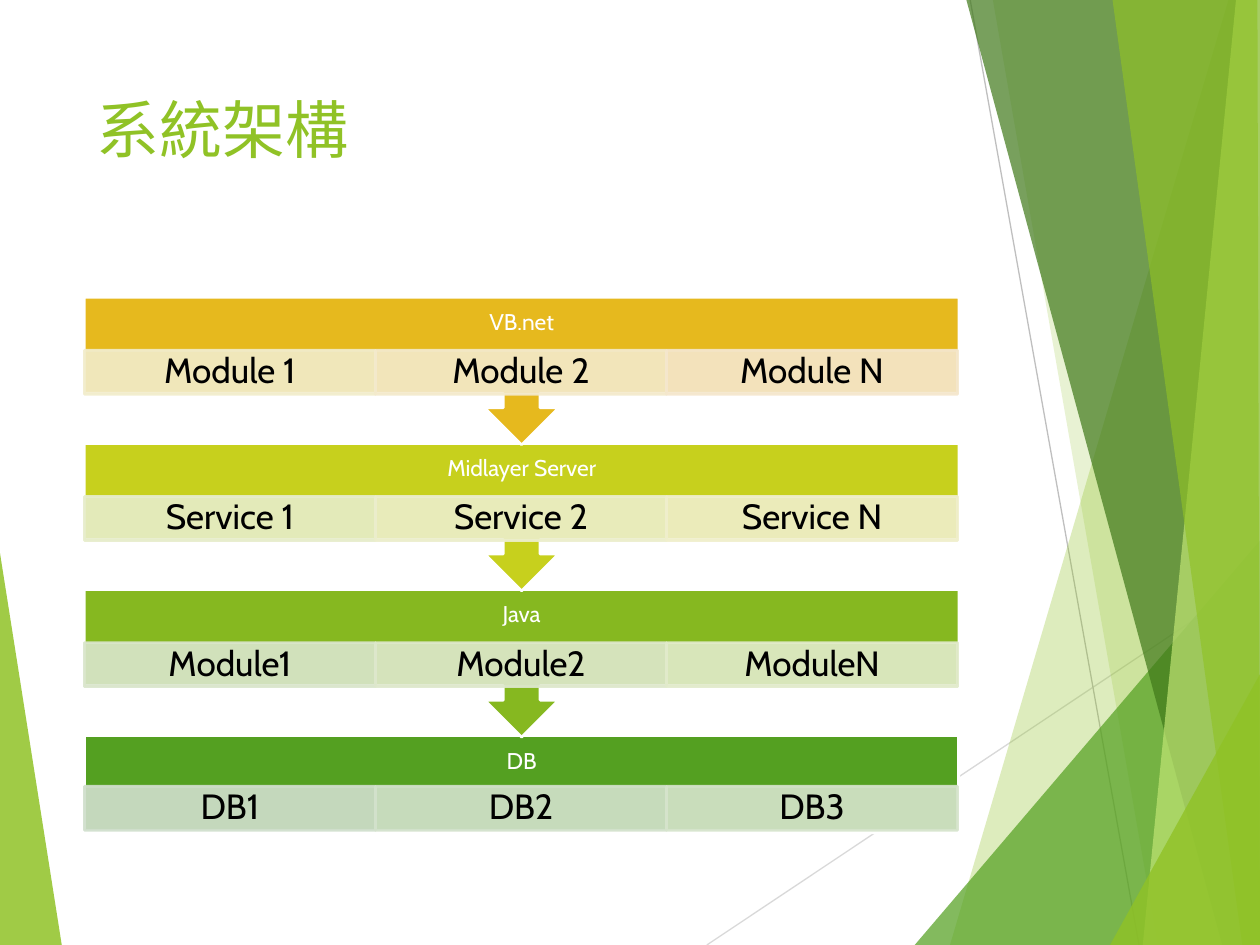
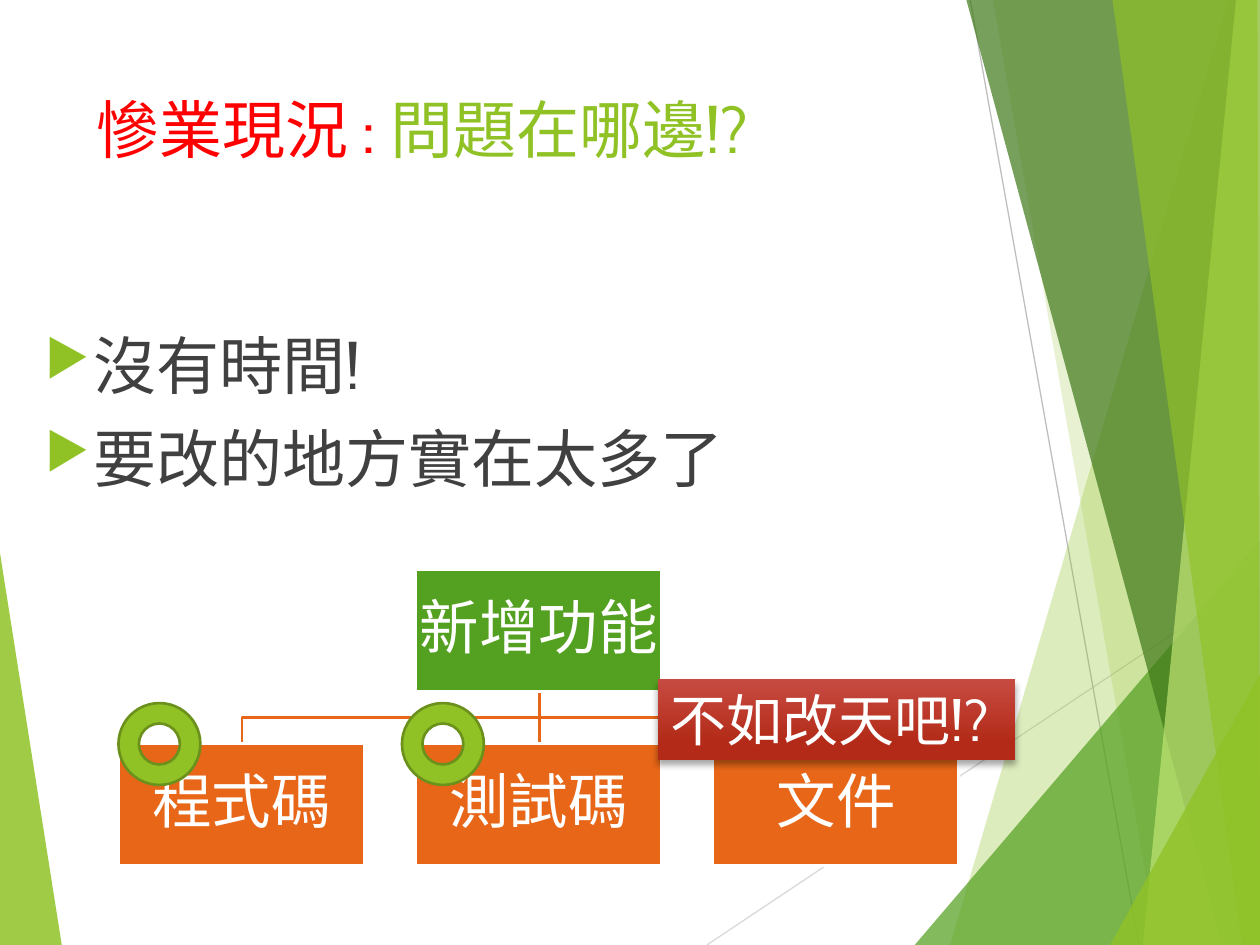
from dataclasses import dataclass

from pptx import Presentation
from pptx.dml.color import RGBColor
from pptx.enum.shapes import MSO_CONNECTOR, MSO_SHAPE
from pptx.enum.text import MSO_ANCHOR, PP_ALIGN
from pptx.oxml import parse_xml
from pptx.oxml.ns import nsdecls, qn
from pptx.oxml.xmlchemy import OxmlElement
from pptx.util import Inches, Pt


@dataclass(frozen=True)
class Theme:
    font: str = "Cabin"
    lime: str = "90C226"
    lime_edge: str = "6B901C"
    green: str = "54A021"
    dark_green: str = "3F7819"
    pale_lime: str = "C0E474"
    orange: str = "E76618"
    red: str = "FF0000"
    white: str = "FFFFFF"
    black: str = "000000"
    body: str = "404040"
    light_gray: str = "D9D9D9"
    gray: str = "BFBFBF"
    note_top: str = "C74B42"
    note_bottom: str = "B32B18"
    title_size: int = 36
    tier_size: int = 13
    cell_size: int = 20
    box_size: int = 34
    note_size: int = 32
    outline: float = 1.5
    hairline: float = 0.75


THEME = Theme()

RIBBONS = [
    ([(0, 4.39), (0.49, 7.5), (0, 7.5)], THEME.lime, 85),
    ([(9.75, 0), (7.54, 7.5), (10, 7.5), (10, 0)], THEME.lime, 30),
    ([(7.88, 0), (9.19, 7.5), (10, 7.5), (10, 0)], THEME.lime, 20),
    ([(7.26, 7.5), (10, 4.29), (10, 7.5)], THEME.green, 72),
    ([(7.67, 0), (9.7, 7.5), (10, 7.5), (10, 0)], THEME.dark_green, 70),
    ([(9.81, 0), (9.07, 7.5), (10, 7.5), (10, 0)], THEME.pale_lime, 70),
    ([(8.83, 0), (9.86, 7.5), (10, 7.5), (9.98, 0)], THEME.lime, 65),
    ([(8.81, 7.5), (10, 5.35), (10, 7.5)], THEME.lime, 80),
]

TIERS = [
    ("VB.net", "E6B91E",
     [("Module 1", "F2EDCC"), ("Module 2", "F4EACC"), ("Module N", "F5E7CD")]),
    ("Midlayer Server", "C7D01D",
     [("Service 1", "E7EDCB"), ("Service 2", "ECEECC"), ("Service N", "F0EFCC")]),
    ("Java", "86B820",
     [("Module1", "DAE6CC"), ("Module2", "DEE8CC"), ("ModuleN", "E2EBCB")]),
    ("DB", THEME.green,
     [("DB1", "D1DFCD"), ("DB2", "D3E2CC"), ("DB3", "D6E4CC")]),
]


def rgb(color):
    return RGBColor.from_string(color)


def inches(*values):
    return [Inches(value) for value in values]


def set_opacity(shape, percent):
    for color in shape._element.spPr.iter(qn("a:srgbClr")):
        alpha = OxmlElement("a:alpha")
        alpha.set("val", str(percent * 1000))
        color.append(alpha)


def style_shape(shape, fill=None, line=None, width=THEME.outline):
    shape.shadow.inherit = False
    if fill:
        shape.fill.solid()
        shape.fill.fore_color.rgb = rgb(fill)
    else:
        shape.fill.background()
    if line:
        shape.line.color.rgb = rgb(line)
        shape.line.width = Pt(width)
    else:
        shape.line.fill.background()


def format_run(run, size, color):
    run.font.size = Pt(size)
    run.font.name = THEME.font
    run.font.color.rgb = rgb(color)
    east_asian = OxmlElement("a:ea")
    east_asian.set("typeface", THEME.font)
    run.font._element.find(qn("a:latin")).addnext(east_asian)


def set_label(shape, text, size, color, margin_x=0.02, margin_y=0.02, wrap=True):
    frame = shape.text_frame
    frame.text = text
    frame.word_wrap = wrap
    frame.vertical_anchor = MSO_ANCHOR.MIDDLE
    frame.margin_left = frame.margin_right = Inches(margin_x)
    frame.margin_top = frame.margin_bottom = Inches(margin_y)
    paragraph = frame.paragraphs[0]
    paragraph.alignment = PP_ALIGN.CENTER
    paragraph.line_spacing = 0.9
    format_run(paragraph.runs[0], size, color)


def add_box(slide, kind, left, top, width, height, fill, line=None):
    shape = slide.shapes.add_shape(kind, *inches(left, top, width, height))
    style_shape(shape, fill, line)
    return shape


def add_outline(slide, points, closed):
    (left, top), *rest = [inches(*point) for point in points]
    builder = slide.shapes.build_freeform(left, top)
    builder.add_line_segments(rest, close=closed)
    return builder.convert_to_shape()


def add_line(slide, start, end, color, width):
    line = slide.shapes.add_connector(MSO_CONNECTOR.STRAIGHT, *inches(*start, *end))
    line.line.color.rgb = rgb(color)
    line.line.width = Pt(width)
    line._element.spPr.append(OxmlElement("a:effectLst"))


def add_backdrop(slide):
    for index, (points, color, opacity) in enumerate(RIBBONS):
        ribbon = add_outline(slide, points, closed=True)
        style_shape(ribbon, color)
        set_opacity(ribbon, opacity)
        if index == 0:
            add_line(slide, (5.61, 7.5), (10, 4.57), THEME.light_gray, THEME.hairline)
            add_line(slide, (7.7, 0), (9.04, 7.5), THEME.gray, THEME.hairline)


def add_title(slide, *parts):
    box = slide.shapes.add_textbox(*inches(0.67, 0.67, 6.94, 1.44))
    box.text_frame.word_wrap = True
    paragraph = box.text_frame.paragraphs[0]
    for text, color in parts:
        run = paragraph.add_run()
        run.text = text
        format_run(run, THEME.title_size, color)


def add_bullet(paragraph):
    properties = paragraph._p.get_or_add_pPr()
    properties.set("marL", str(Inches(0.38)))
    properties.set("indent", str(-Inches(0.38)))
    for xml in (
        f'<a:buClr {nsdecls("a")}><a:srgbClr val="{THEME.lime}"/></a:buClr>',
        f'<a:buSzPct {nsdecls("a")} val="80000"/>',
        f'<a:buChar {nsdecls("a")} char="▶"/>',
    ):
        properties.append(parse_xml(xml))


def add_bullets(slide, items):
    box = slide.shapes.add_textbox(*inches(0.26, 2.54, 5.61, 1.64))
    frame = box.text_frame
    frame.word_wrap = True
    for index, text in enumerate(items):
        paragraph = frame.add_paragraph() if index else frame.paragraphs[0]
        paragraph.text = text
        add_bullet(paragraph)
        if index:
            paragraph.space_before = Pt(10)
        format_run(paragraph.runs[0], THEME.title_size, THEME.body)


def add_tier(slide, top, name, color, cells, is_last):
    left, width, cell_width = 0.67, 6.94, 2.31
    if is_last:
        add_box(slide, MSO_SHAPE.RECTANGLE, left, top, width, 0.76, color, THEME.white)
    else:
        callout = add_box(slide, MSO_SHAPE.UP_ARROW_CALLOUT, left, top, width, 1.17,
                          color, THEME.white)
        callout.rotation = 180
    heading = slide.shapes.add_textbox(*inches(left, top, width, 0.41))
    set_label(heading, name, THEME.tier_size, THEME.white, 0.1, 0.1)
    cell_top = top + (0.4 if is_last else 0.42)
    for column, (text, tint) in enumerate(cells):
        cell = add_box(slide, MSO_SHAPE.RECTANGLE, left + column * cell_width,
                       cell_top, cell_width, 0.35, tint, tint)
        set_opacity(cell, 90)
        set_label(cell, text, THEME.cell_size, THEME.black, 0.16, 0.03)


def add_node(slide, left, top, text, color):
    node = add_box(slide, MSO_SHAPE.RECTANGLE, left, top, 1.95, 0.97, color, THEME.white)
    set_label(node, text, THEME.box_size, THEME.white, wrap=False)


def add_task_tree(slide, root, tasks):
    first_left, step, root_bottom, task_top = 0.94, 2.36, 5.49, 5.9
    middle = (root_bottom + task_top) / 2
    root_left = first_left + step
    root_x = root_left + 0.98
    for x in (root_x + step, root_x - step):
        branch = add_outline(slide, [(root_x, root_bottom), (root_x, middle),
                                     (x, middle), (x, task_top)], closed=False)
        style_shape(branch, line=THEME.orange)
    add_line(slide, (root_x, root_bottom), (root_x, task_top), THEME.orange, THEME.outline)
    add_node(slide, root_left, 4.52, root, THEME.green)
    for index, task in enumerate(tasks):
        add_node(slide, first_left + index * step, task_top, task, THEME.orange)


def add_note(slide, text):
    note = add_box(slide, MSO_SHAPE.RECTANGLE, 5.22, 5.39, 2.84, 0.64, THEME.note_bottom)
    note.fill.gradient()
    note.fill.gradient_angle = 270
    stops = [(0, THEME.note_top), (0.78, THEME.note_bottom)]
    for stop, (position, color) in zip(note.fill.gradient_stops, stops):
        stop.position = position
        stop.color.rgb = rgb(color)
    effects = note._element.spPr.find(qn("a:effectLst"))
    effects.append(parse_xml(
        f'<a:outerShdw {nsdecls("a")} blurRad="{Pt(4)}" dist="{Pt(3)}" dir="5400000" '
        f'rotWithShape="0"><a:srgbClr val="{THEME.black}"><a:alpha val="35000"/>'
        '</a:srgbClr></a:outerShdw>'))
    set_label(note, text, THEME.note_size, THEME.white, 0.1, 0.05, wrap=False)
    note.text_frame.paragraphs[0].alignment = PP_ALIGN.LEFT
    note.text_frame.paragraphs[0].line_spacing = 1.0


def add_slide(presentation):
    slide = presentation.slides.add_slide(presentation.slide_layouts[6])
    add_backdrop(slide)
    return slide


def build_architecture(presentation):
    slide = add_slide(presentation)
    add_title(slide, ("系統架構", THEME.lime))
    add_box(slide, MSO_SHAPE.RECTANGLE, 0.67, 2.35, 6.95, 4.27, THEME.white)
    last = len(TIERS) - 1
    for index in range(last, -1, -1):
        add_tier(slide, 2.36 + index * 1.16, *TIERS[index], is_last=index == last)


def build_problem(presentation):
    slide = add_slide(presentation)
    add_title(slide, ("慘業現況 : ", THEME.red), ("問題在哪邊!?", THEME.lime))
    add_bullets(slide, ["沒有時間!", "要改的地方實在太多了"])
    add_box(slide, MSO_SHAPE.RECTANGLE, 0.93, 4.5, 6.69, 2.38, THEME.white)
    add_task_tree(slide, "新增功能", ["程式碼", "測試碼", "文件"])
    for left in (0.94, 3.19):
        add_box(slide, MSO_SHAPE.DONUT, left, 5.58, 0.65, 0.65, THEME.lime, THEME.lime_edge)
    add_note(slide, "不如改天吧!?")


def main():
    presentation = Presentation()
    presentation.slide_width, presentation.slide_height = inches(10, 7.5)
    build_architecture(presentation)
    build_problem(presentation)
    presentation.save("out.pptx")


if __name__ == "__main__":
    main()
